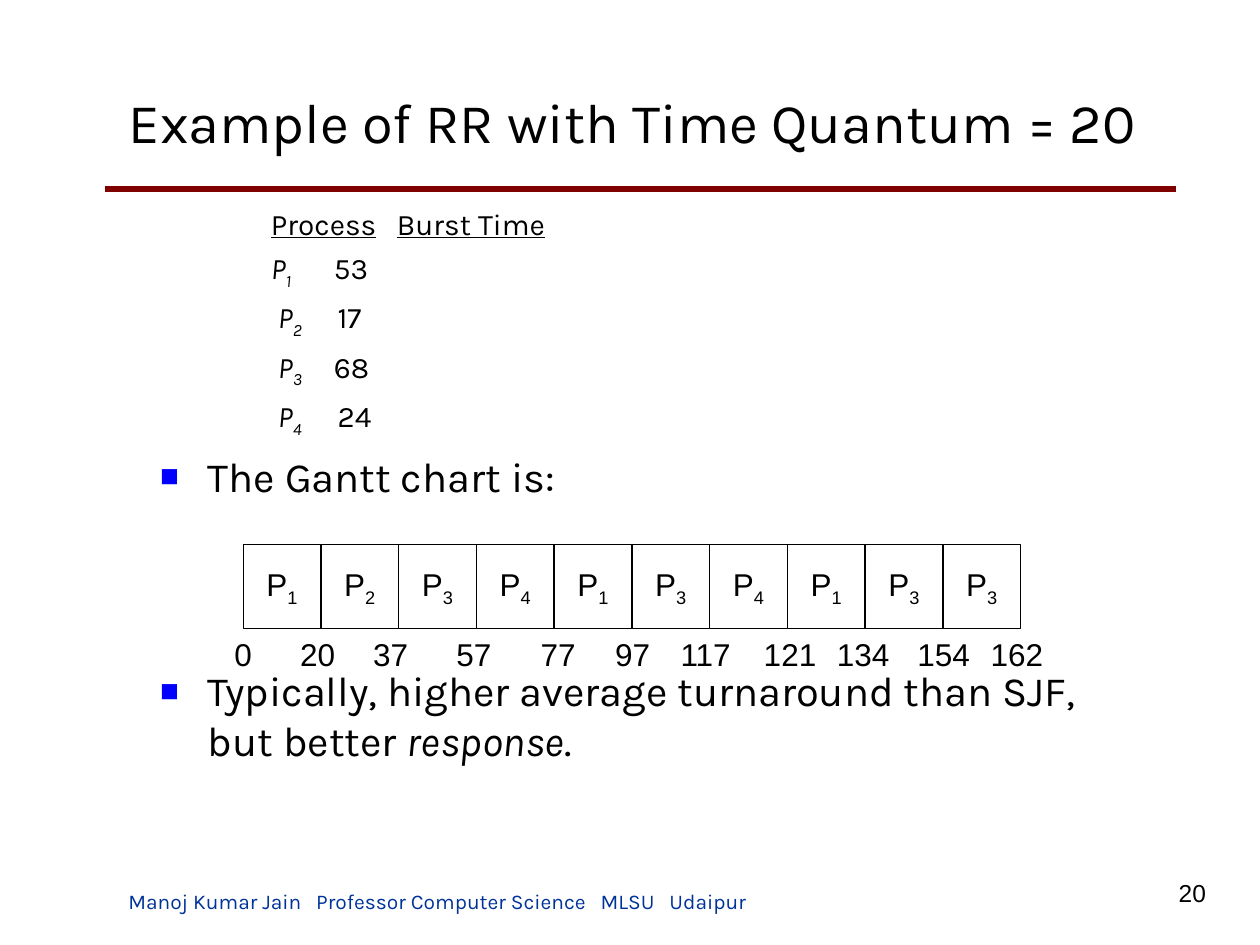
from lxml import etree
from pptx import Presentation
from pptx.dml.color import RGBColor
from pptx.enum.shapes import MSO_CONNECTOR, MSO_SHAPE
from pptx.enum.text import MSO_ANCHOR, MSO_AUTO_SIZE, PP_ALIGN
from pptx.oxml.ns import qn
from pptx.util import Inches, Pt

STRAIGHT, RECTANGLE = MSO_CONNECTOR.STRAIGHT, MSO_SHAPE.RECTANGLE
TOP, MIDDLE, BOTTOM = MSO_ANCHOR.TOP, MSO_ANCHOR.MIDDLE, MSO_ANCHOR.BOTTOM
LEFT, CENTER, RIGHT = PP_ALIGN.LEFT, PP_ALIGN.CENTER, PP_ALIGN.RIGHT
NO_AUTOFIT = MSO_AUTO_SIZE.NONE

BLACK = RGBColor(0x00, 0x00, 0x00)
WHITE = RGBColor(0xFF, 0xFF, 0xFF)
MAROON = RGBColor(0x80, 0x00, 0x00)
FOOTER_BLUE = RGBColor(0x00, 0x33, 0x99)
BULLET_BLUE = RGBColor(0x00, 0x00, 0xFF)
HEADING_FONT, CHART_FONT = "Karla", "Arial"

BURST_ROWS = [
    ("\t\t", "1\t", "53"),
    ("\t\t ", "2\t ", "17"),
    ("\t\t ", "3\t", "68"),
    ("\t\t ", "4\t ", "24"),
]
SCHEDULE = "1234134133"
TIME_MARKS = [
    ("0", 1.93), ("20", 2.52), ("37", 3.1), ("57", 3.76), ("77", 4.43), ("97", 5.02),
    ("117", 5.6), ("121", 6.27), ("134", 6.85), ("154", 7.49), ("162", 8.07),
]


def place(shape, left, top, width, height):
    """Move a shape to a box given in inches."""
    shape.left, shape.top = Inches(left), Inches(top)
    shape.width, shape.height = Inches(width), Inches(height)


def add_spans(para, spans, size, font):
    """Add (text, marks) spans; marks are u underline, i italic, s subscript."""
    for text, marks in spans:
        span = para.add_run()
        span.text = text
        span.font.size, span.font.name = Pt(size), font
        span.font.color.rgb = BLACK
        if "u" in marks:
            span.font.underline = True
        if "i" in marks:
            span.font.italic = True
        if "s" in marks:
            span._r.get_or_add_rPr().set("baseline", "-25000")


def add_label(shapes, text, box, size, font, color, align, anchor, wrap=True):
    """Add a one-line text box."""
    label = shapes.add_textbox(*map(Inches, box))
    frame = label.text_frame
    frame.text = text
    frame.word_wrap, frame.vertical_anchor = wrap, anchor
    para = frame.paragraphs[0]
    para.alignment = align
    para.font.size, para.font.name = Pt(size), font
    para.font.color.rgb = color


def set_bullet(para, char=None):
    """Give a paragraph its hanging indent and a square bullet or none."""
    props = para._p.get_or_add_pPr()
    props.set("marL", str(Inches(0.38)))
    props.set("indent", str(-Inches(0.38)))
    if char is None:
        etree.SubElement(props, qn("a:buNone"))
        return
    color = etree.SubElement(props, qn("a:buClr"))
    etree.SubElement(color, qn("a:srgbClr")).set("val", str(BULLET_BLUE))
    etree.SubElement(props, qn("a:buSzPct")).set("val", "75000")
    etree.SubElement(props, qn("a:buFont")).set("typeface", CHART_FONT)
    etree.SubElement(props, qn("a:buChar")).set("char", char)


def build_title(page, left, top, width, height):
    """Fill the title placeholder and draw the rule below it."""
    title = page.shapes.title
    place(title, left, top, width, height)
    frame = title.text_frame
    frame.text = "Example of RR with Time Quantum = 20"
    frame.vertical_anchor, frame.auto_size = MIDDLE, NO_AUTOFIT
    para = frame.paragraphs[0]
    para.alignment = LEFT
    span = para.runs[0]
    span.font.size, span.font.name = Pt(32), HEADING_FONT
    span.font.color.rgb = BLACK
    rule_top = Inches(top + 1)
    rule = page.shapes.add_connector(STRAIGHT, Inches(0.83), rule_top, Inches(9.33), rule_top)
    rule.line.color.rgb, rule.line.width = MAROON, Pt(3)
    etree.SubElement(rule._element.spPr, qn("a:effectLst"))


def build_body(page, left, top, width, height):
    """Fill the body placeholder with the burst times and the two bullets."""
    body = page.placeholders[1]
    place(body, left, top, width, height)
    frame = body.text_frame
    frame.auto_size, frame.vertical_anchor = NO_AUTOFIT, TOP
    rows = [[("\t\t", ""), ("Process", "u"), ("\t", ""), ("Burst Time", "u")]]
    rows += [
        [(lead, ""), ("P", "i"), (index, "is"), (burst, "")]
        for lead, index, burst in BURST_ROWS
    ]
    bullets = [
        [("The Gantt chart is:", "")],
        [("Typically, higher average turnaround than SJF, but better ", ""),
         ("response", "i"), (".", "")],
    ]
    for number, spans in enumerate(rows + bullets):
        para = frame.paragraphs[0] if number == 0 else frame.add_paragraph()
        is_row = number < len(rows)
        set_bullet(para, None if is_row else "■")
        para.space_before = Pt(5 if is_row else 7)
        add_spans(para, spans, 17 if is_row else 23.8, HEADING_FONT)
    frame.paragraphs[len(rows)].space_after = Pt(87)


def build_gantt(page, left, top, width, height):
    """Draw the row of time slices with the time marks below."""
    chart = page.shapes.add_group_shape().shapes
    slice_width = width / len(SCHEDULE)
    for number, process in enumerate(SCHEDULE):
        box = (left + number * slice_width, top, slice_width, height)
        cell = chart.add_shape(RECTANGLE, *map(Inches, box))
        cell.shadow.inherit = False
        cell.fill.solid()
        cell.fill.fore_color.rgb = WHITE
        cell.line.color.rgb, cell.line.width = BLACK, Pt(0.75)
        frame = cell.text_frame
        frame.word_wrap, frame.vertical_anchor = False, MIDDLE
        para = frame.paragraphs[0]
        para.alignment = CENTER
        add_spans(para, [("P", ""), (process, "s")], 18, CHART_FONT)
    for mark, middle in TIME_MARKS:
        mark_width = 0.2 + 0.14 * len(mark)
        box = (middle - mark_width / 2, top + height, mark_width, 0.4)
        add_label(chart, mark, box, 18, CHART_FONT, BLACK, CENTER, MIDDLE, wrap=False)


def build_footer(page, left, top, width, height):
    """Add the author line and the page number."""
    author = "Manoj Kumar Jain   Professor Computer Science   MLSU   Udaipur"
    add_label(page.shapes, author, (left, top, width, height),
              12, HEADING_FONT, FOOTER_BLUE, LEFT, BOTTOM)
    add_label(page.shapes, "20", (9, 6.92, 0.67, 0.33), 14, CHART_FONT, BLACK, RIGHT, TOP)


def main():
    """Build the deck and save it."""
    deck = Presentation()
    deck.slide_width, deck.slide_height = Inches(10), Inches(7.5)
    page = deck.slides.add_slide(deck.slide_layouts[1])
    build_title(page, 0.92, 0.5, 8.81, 0.92)
    build_body(page, 1.17, 1.58, 7.69, 4.5)
    build_gantt(page, 1.93, 4.32, 6.17, 0.67)
    build_footer(page, 0.92, 7, 7.33, 0.3)
    deck.save("out.pptx")


if __name__ == "__main__":
    main()
